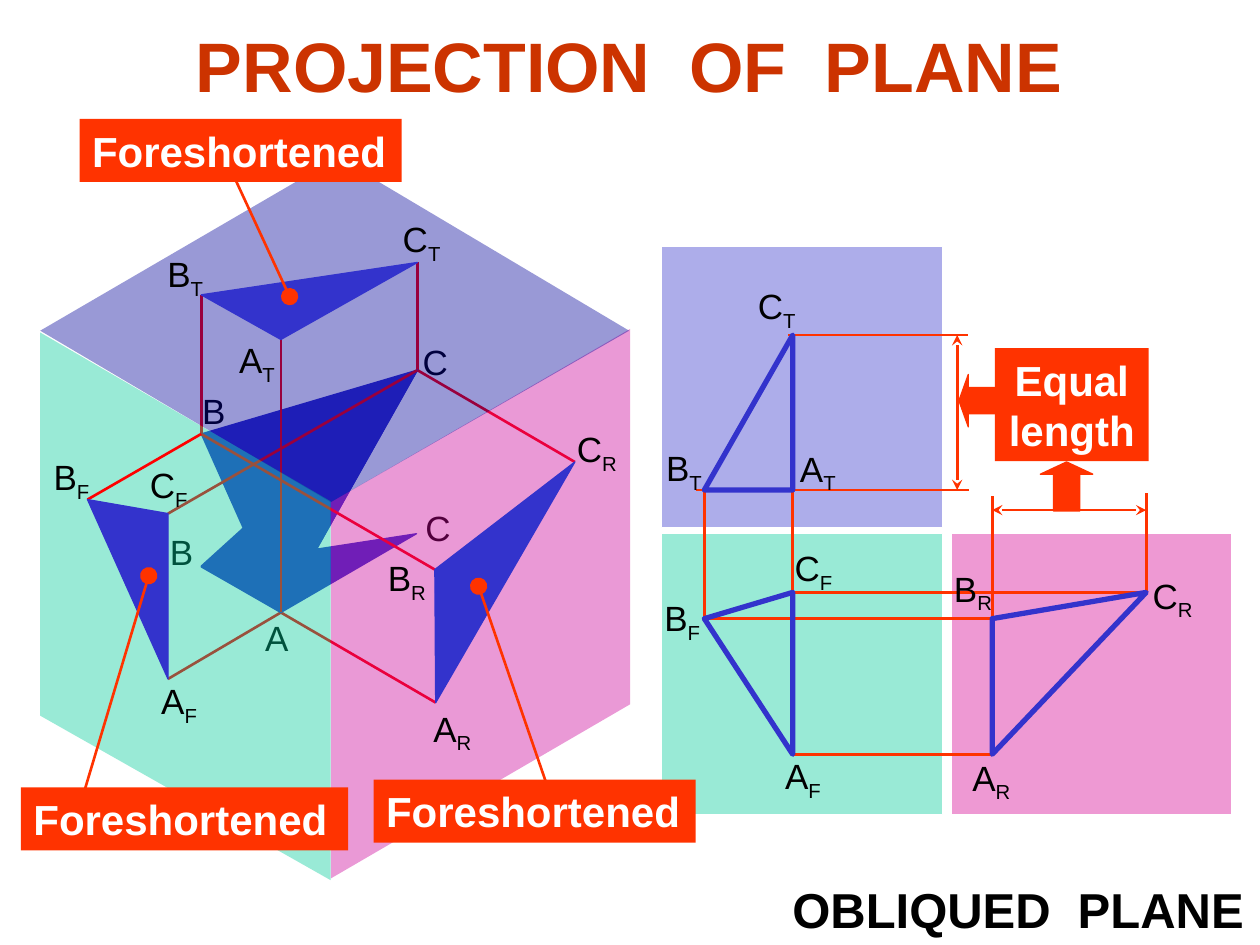
from lxml.etree import SubElement
from pptx import Presentation
from pptx.dml.color import RGBColor
from pptx.enum.shapes import MSO_CONNECTOR as Connector, MSO_SHAPE as Preset
from pptx.enum.text import MSO_ANCHOR as Anchor, MSO_AUTO_SIZE as AutoSize, PP_ALIGN as Align
from pptx.oxml.ns import qn
from pptx.util import Pt

BLUE, ORANGE, RED = "3333CC", "FF3300", "FF0000"
GREEN, PINK, WHITE, BLACK = "00CC99", "D60093", "FFFFFF", "000000"

SOLID = {"A": (160.5, 350), "B": (115, 248), "C": (238.5, 211.5)}
PICTORIAL = {
    "AT": (160.5, 194), "BT": (115, 168.5), "CT": (238.5, 150),
    "AF": (96, 388), "BF": (50, 285.5), "CF": (96, 293.5),
    "AR": (249, 401.5), "BR": (248.5, 325.5), "CR": (328.5, 264),
}
ORTHOGRAPHIC = {
    "AT": (453, 280), "BT": (402.5, 280), "CT": (453, 191.5),
    "AF": (453, 431), "BF": (402.5, 353.5), "CF": (453, 338.5),
    "AR": (567, 431), "BR": (567, 353.5), "CR": (655, 338.5),
}
SOLID_LABELS = [("B", 90, 299.5), ("C", 236, 286), ("A", 144.5, 348.5),
                ("C", 234.5, 191), ("B", 108.5, 219)]
PICTORIAL_LABELS = [
    ("AT", 129.5, 190), ("BT", 88.5, 141), ("CT", 223, 121),
    ("AF", 85, 385), ("BF", 23.5, 257), ("CF", 78.5, 261.5),
    ("AR", 240.5, 400.5), ("BR", 214.5, 314.5), ("CR", 322.5, 241),
]
ORTHOGRAPHIC_LABELS = [
    ("AT", 450, 252), ("BT", 373.5, 251.5), ("CT", 426, 159),
    ("AF", 441.5, 427.5), ("BF", 372.5, 337.5), ("CF", 447, 309),
    ("AR", 548.5, 428.5), ("BR", 538, 320.5), ("CR", 651.5, 324.5),
]
CALLOUTS = [
    ((213.5, 445.5, 184, 36), (312, 447), (273.5, 335)),
    ((45.5, 68, 184, 36), (134, 101.5), (165.5, 169.5)),
    ((12, 450, 187, 36), (47.5, 454.5), (85, 329)),
]


def rgb(color):
    return RGBColor.from_string(color)


def paint(shape, color=None, opacity=None, outline=None, weight=0.75):
    shape.shadow.inherit = False
    if color:
        shape.fill.solid()
        shape.fill.fore_color.rgb = rgb(color)
    else:
        shape.fill.background()
    if opacity:
        tint = shape.fill._xPr.find(".//" + qn("a:srgbClr"))
        SubElement(tint, qn("a:alpha")).set("val", str(opacity * 1000))
    if outline:
        shape.line.color.rgb = rgb(outline)
        shape.line.width = Pt(weight)
    else:
        shape.line.fill.background()


def write(box, text, size=20, color=BLACK, bold=False, align=Align.LEFT,
          subscript="", wrap=False, anchor=Anchor.TOP):
    frame = box.text_frame
    frame.word_wrap = wrap
    frame.auto_size = AutoSize.SHAPE_TO_FIT_TEXT
    frame.vertical_anchor = anchor
    frame.text = text
    if subscript:
        lowered = frame.paragraphs[0].add_run()
        lowered.text = subscript
        lowered._r.get_or_add_rPr().set("baseline", "-25000")
    for paragraph in frame.paragraphs:
        paragraph.alignment = align
        for run in paragraph.runs:
            run.font.name = "Arial"
            run.font.size = Pt(size)
            run.font.bold = bold
            run.font.color.rgb = rgb(color)


def place(shape, *bounds):
    shape.left, shape.top, shape.width, shape.height = map(Pt, bounds)


def add_text(shapes, bounds, text, fill=None, **style):
    box = shapes.add_textbox(*map(Pt, bounds))
    if fill:
        paint(box, fill)
    write(box, text, **style)


def add_labels(shapes, labels):
    for name, left, top in labels:
        add_text(shapes, (left, top, 18 + 10 * len(name), 31), name[0], subscript=name[1:])


def add_line(shapes, start, end, color=ORANGE, head=None, tail=None, end_size="med"):
    line = shapes.add_connector(Connector.STRAIGHT, *map(Pt, start + end))
    line.line.color.rgb = rgb(color)
    line.line.width = Pt(1.5)
    for tag, ending in (("a:headEnd", head), ("a:tailEnd", tail)):
        if ending:
            mark = SubElement(line.line._get_or_add_ln(), qn(tag))
            for key, value in (("type", ending), ("w", end_size), ("len", end_size)):
                mark.set(key, value)
    SubElement(line._element.spPr, qn("a:effectLst"))


def add_polygon(shapes, corners, **look):
    first, *others = [tuple(map(Pt, corner)) for corner in corners]
    builder = shapes.build_freeform(*first, scale=1.0)
    builder.add_line_segments(others, close=True)
    paint(builder.convert_to_shape(), **look)


def add_preset(shapes, preset, bounds, **look):
    shape = shapes.add_shape(preset, *map(Pt, bounds))
    paint(shape, **look)
    return shape


def add_arrow(shapes, preset, bounds):
    arrow = add_preset(shapes, preset, bounds, color=ORANGE, outline=ORANGE)
    arrow.adjustments[0], arrow.adjustments[1] = 0.5, 0.25


def add_view_triangle(shapes, points, view, **look):
    add_polygon(shapes, [points[corner + view] for corner in "ABC"], **look)


def draw_orthographic(shapes):
    points = ORTHOGRAPHIC
    for left, top, color in ((378, 305, GREEN), (543.5, 305, PINK), (378, 141, BLUE)):
        add_preset(shapes, Preset.RECTANGLE, (left, top, 160.5, 160.5),
                   color=color, opacity=40, outline=WHITE)
    for start, end in (("AF", "AR"), ("CF", "CT"), ("BF", "BT"), ("CF", "CR"), ("BF", "BR")):
        add_line(shapes, points[start], points[end])
    for start, end in (((450.5, 191.5), (553, 191.5)), ((398, 280), (553.5, 280)),
                       ((567, 430), (567, 283.5)), ((655, 338.5), (655, 282))):
        add_line(shapes, start, end)
    for start, end in (((547, 191.5), (547, 280)), ((567, 291.5), (655, 291.5))):
        add_line(shapes, start, end, head="stealth", tail="stealth")
    add_text(shapes, (568.5, 199, 88, 64.5), "Equal\nlength", fill=ORANGE,
             size=24, color=WHITE, bold=True, align=Align.CENTER, wrap=True)
    add_arrow(shapes, Preset.UP_ARROW, (594.5, 264, 30, 28))
    add_arrow(shapes, Preset.LEFT_ARROW, (548, 214, 21.5, 30))
    for view in "TFR":
        add_view_triangle(shapes, points, view, outline=BLUE, weight=3)
    add_labels(shapes, ORTHOGRAPHIC_LABELS)


def draw_pictorial(shapes):
    def project(*names):
        for name in names:
            add_line(shapes, SOLID[name[0]], PICTORIAL[name], RED)

    a, b, c = SOLID.values()
    add_labels(shapes, SOLID_LABELS)
    project("CT", "AF", "BT", "AR", "CR")
    for corners in ([(115, 324), a, (238, 305)], [(115, 323.5), a, c], [b, a, c]):
        add_polygon(shapes, corners, color=BLUE, outline=BLUE)
    project("CF", "AT", "BR")
    for color, corners in (
        ("CC0099", [(189, 287), (360, 188), (360, 402.5), (189, 502)]),
        ("000099", [(23, 189), (189, 287), (359.5, 189), (193, 90)]),
        (GREEN, [(23, 190), (189, 286.5), (189, 503), (23, 409)]),
    ):
        add_polygon(shapes, corners, color=color, opacity=40)
    project("BF")
    for view in "RFT":
        add_view_triangle(shapes, PICTORIAL, view, color=BLUE, outline=BLUE)
    add_labels(shapes, PICTORIAL_LABELS)
    for bounds, start, target in CALLOUTS:
        add_line(shapes, start, target, tail="oval", end_size="lg")
        add_text(shapes, bounds, "Foreshortened", fill=ORANGE, size=24,
                 color=WHITE, bold=True, wrap=True)


def main():
    deck = Presentation()
    deck.slide_width, deck.slide_height = Pt(720), Pt(540)
    slide = deck.slides.add_slide(deck.slide_layouts[5])
    title = slide.shapes.title
    place(title, 104.5, 9.5, 510, 55.5)
    write(title, "PROJECTION  OF  PLANE", size=40, color="CC3300", bold=True,
          align=Align.CENTER)
    draw_orthographic(slide.shapes)
    draw_pictorial(slide.shapes)
    add_text(slide.shapes, (443.5, 499, 276.5, 41), "OBLIQUED  PLANE", size=28,
             bold=True, align=Align.CENTER, wrap=True)
    deck.save("out.pptx")


if __name__ == "__main__":
    main()
